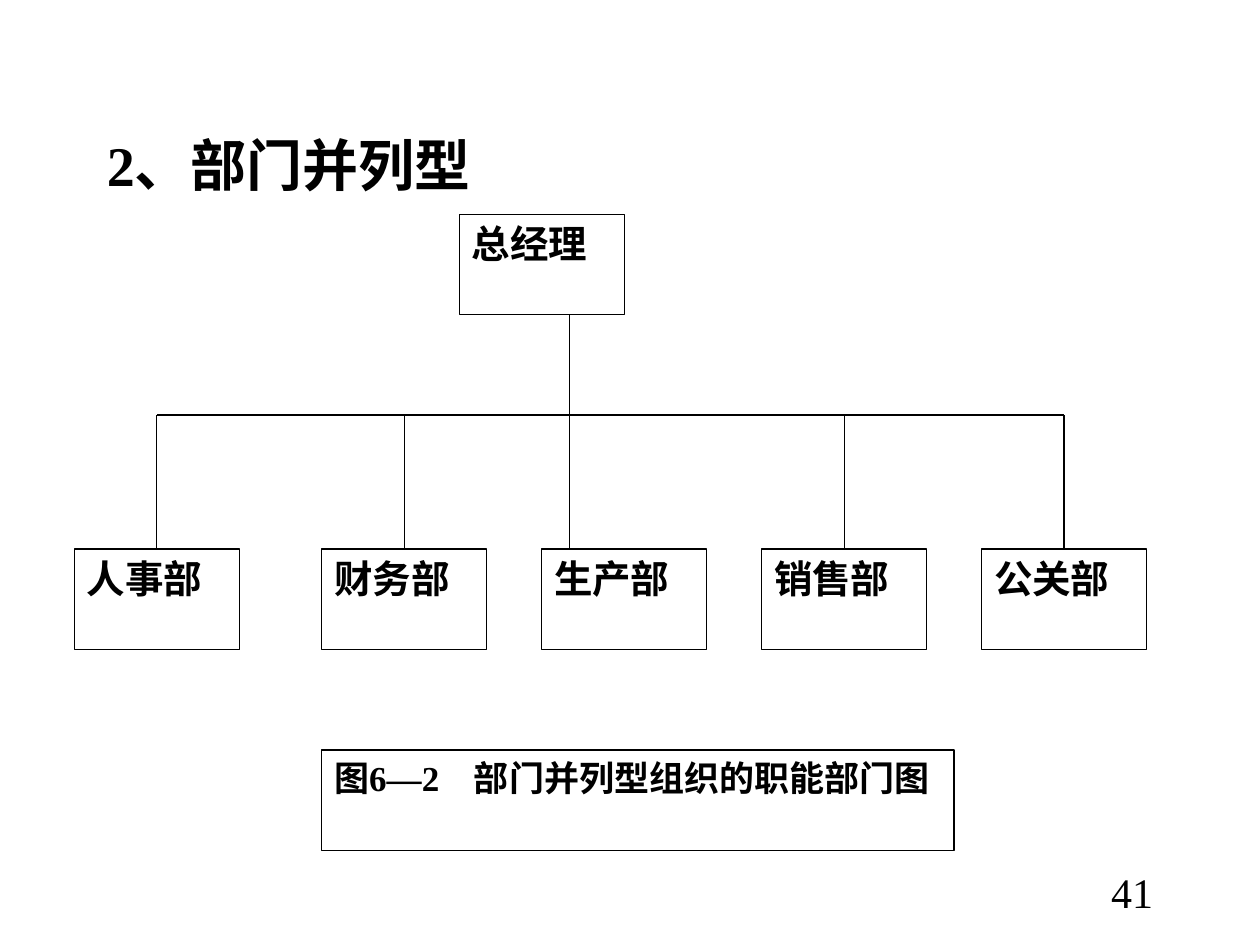
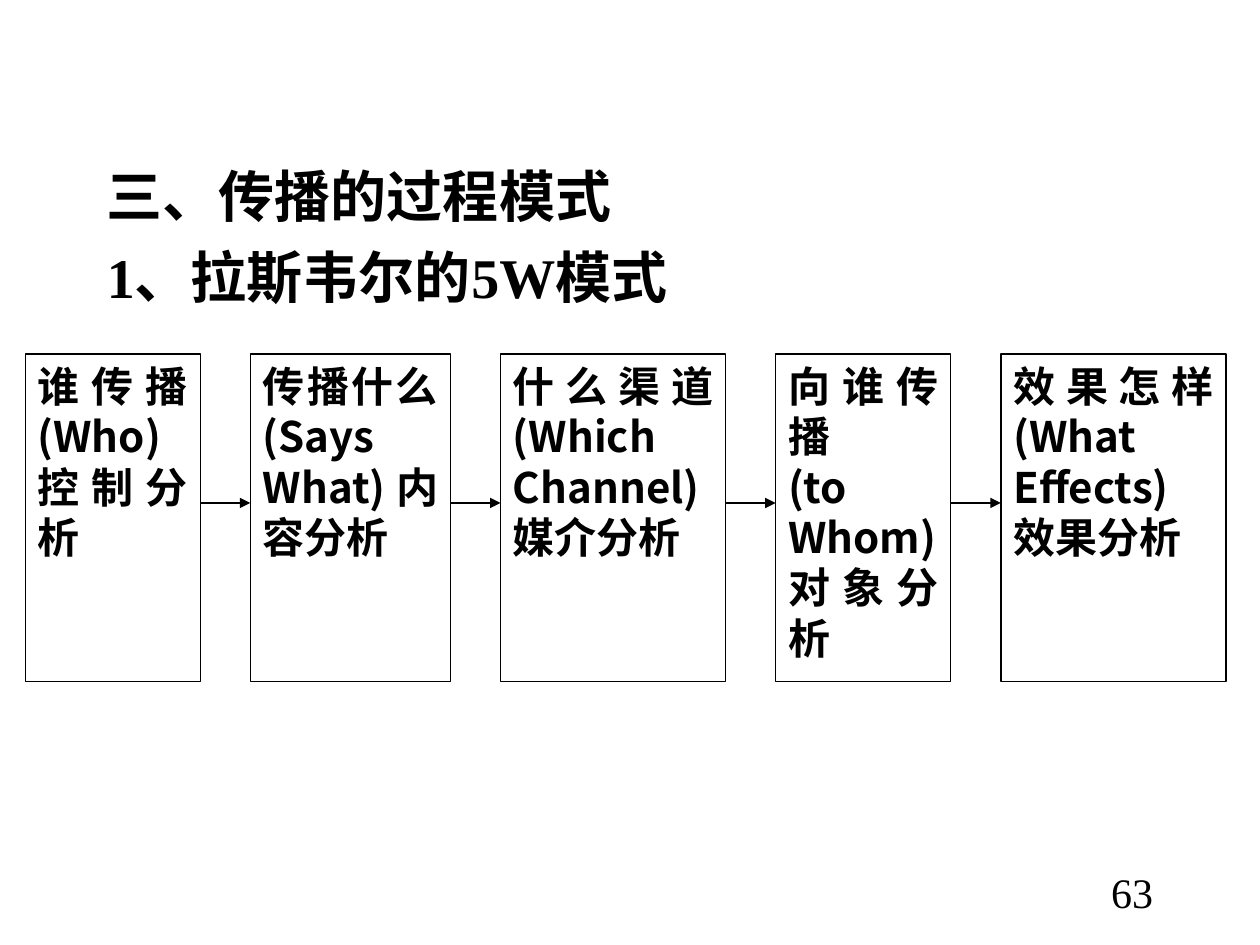
from itertools import accumulate, pairwise

from lxml import etree
from pptx import Presentation
from pptx.dml.color import RGBColor
from pptx.enum.shapes import MSO_CONNECTOR, MSO_SHAPE
from pptx.enum.text import MSO_ANCHOR, PP_ALIGN
from pptx.oxml.ns import qn
from pptx.util import Inches, Pt

RECTANGLE = MSO_SHAPE.RECTANGLE
STRAIGHT = MSO_CONNECTOR.STRAIGHT
LEFT, RIGHT, JUSTIFY = PP_ALIGN.LEFT, PP_ALIGN.RIGHT, PP_ALIGN.JUSTIFY
TOP = MSO_ANCHOR.TOP

COLORS = {"ink": "000000", "paper": "FFFFFF"}
SERIF, SANS = "Times New Roman", "Noto Sans CJK SC"
SLIDE_WIDTH, SLIDE_HEIGHT = 10, 7.5
LINE_WIDTH = 0.75

# Organisation chart: 39 columns by 19 rows
CHART_LEFT, CHART_TOP = 0.59, 1.7
COLUMN, ROW = 8.51 / 39, 5.05 / 19
BOX_COLUMNS, BOX_ROWS = 6, 3
BUS_ROW, DEPARTMENT_ROW, CAPTION_ROW = 6, 10, 16
STEM_COLUMN = 18
# Each department: name, column of its box, column of its line
DEPARTMENTS = [
    ("人事部", 0, 3),
    ("财务部", 9, 12),
    ("生产部", 17, STEM_COLUMN),
    ("销售部", 25, 28),
    ("公关部", 33, 36),
]

# Process: boxes of 7 to 9 units with gaps of 2, 48 units in all
PROCESS_LEFT, PROCESS_TOP, PROCESS_HEIGHT = 0.2, 2.81, 2.6
UNIT, GAP_UNITS = 9.53 / 48, 2
ARROW_Y = PROCESS_TOP + PROCESS_HEIGHT * 5 / 11
STAGES = [
    (7, ["谁传播 (Who)", "控制分析"]),
    (8, ["传播什么(Says What) 内容分析"]),
    (9, ["什么渠道 (Which Channel) 媒介分析"]),
    (7, ["向谁传播", "(to Whom)", "对象分析"]),
    (9, ["效果怎样(What Effects) 效果分析"]),
]


def color(name):
    return RGBColor.from_string(COLORS[name])


def chart_x(column):
    return CHART_LEFT + column * COLUMN


def chart_y(row):
    return CHART_TOP + row * ROW


def add_tab_stop(para, position):
    stops = etree.SubElement(para._p.get_or_add_pPr(), qn("a:tabLst"))
    etree.SubElement(stops, qn("a:tab"), pos=str(Inches(position)), algn="l")


def write(shape, lines, size, font=SERIF, bold=True, align=LEFT, space=0, tab=None):
    """Fill a shape with one paragraph per line; space parts the paragraphs."""
    frame = shape.text_frame
    frame.word_wrap = True
    frame.vertical_anchor = TOP
    for index, line in enumerate(lines):
        para = frame.add_paragraph() if index else frame.paragraphs[0]
        para.alignment = align
        if index:
            para.space_before = Pt(space)
        if tab:
            add_tab_stop(para, tab)
        span = para.add_run()
        span.text = line
        span.font.size = Pt(size)
        span.font.bold = bold
        span.font.name = font
        span.font.color.rgb = color("ink")
        east_asian = etree.Element(qn("a:ea"), typeface=SANS)
        span.font._element.find(qn("a:latin")).addnext(east_asian)


def add_text(slide, left, top, width, height, lines, size, **style):
    box = slide.shapes.add_textbox(*map(Inches, (left, top, width, height)))
    write(box, lines, size, **style)


def add_box(slide, left, top, width, height, lines, size, **style):
    box = slide.shapes.add_shape(RECTANGLE, *map(Inches, (left, top, width, height)))
    box.shadow.inherit = False
    box.fill.solid()
    box.fill.fore_color.rgb = color("paper")
    box.line.color.rgb = color("ink")
    box.line.width = Pt(LINE_WIDTH)
    write(box, lines, size, align=JUSTIFY, **style)


def add_line(slide, x1, y1, x2, y2, arrow=False):
    line = slide.shapes.add_connector(STRAIGHT, *map(Inches, (x1, y1, x2, y2)))
    line.line.color.rgb = color("ink")
    line.line.width = Pt(LINE_WIDTH)
    if arrow:
        etree.SubElement(line.line._get_or_add_ln(), qn("a:tailEnd"), type="triangle")
    etree.SubElement(line._element.spPr, qn("a:effectLst"))


def add_chart_box(slide, column, row, text, size=22, columns=BOX_COLUMNS, **style):
    add_box(slide, chart_x(column), chart_y(row), columns * COLUMN,
            BOX_ROWS * ROW, [text], size, **style)


def add_chart_line(slide, column1, row1, column2, row2):
    add_line(slide, chart_x(column1), chart_y(row1), chart_x(column2), chart_y(row2))


def add_page(deck, heading_top, heading, number):
    """Start a slide with its heading lines and page number."""
    slide = deck.slides.add_slide(deck.slide_layouts[6])
    add_text(slide, 0.75, heading_top, 8.5, 0.64 * len(heading), heading, 32, space=8)
    add_text(slide, 7.17, 6.83, 2.08, 0.5, [number], 24, bold=False, align=RIGHT)
    return slide


def add_organisation_chart(slide):
    add_chart_box(slide, 14, 0, "总经理")
    add_chart_line(slide, STEM_COLUMN, BOX_ROWS, STEM_COLUMN, BUS_ROW)
    add_chart_line(slide, DEPARTMENTS[0][2], BUS_ROW, DEPARTMENTS[-1][2], BUS_ROW)
    for name, box_column, line_column in DEPARTMENTS:
        add_chart_box(slide, box_column, DEPARTMENT_ROW, name)
        add_chart_line(slide, line_column, BUS_ROW, line_column, DEPARTMENT_ROW)
    add_chart_box(slide, 9, CAPTION_ROW, "图6—2\t部门并列型组织的职能部门图",
                  size=20, columns=23, tab=1.11)


def add_process(slide):
    steps = [units + GAP_UNITS for units, _ in STAGES]
    starts = [PROCESS_LEFT + UNIT * total for total in accumulate(steps[:-1], initial=0)]
    for left, (units, lines) in zip(starts, STAGES):
        add_box(slide, left, PROCESS_TOP, units * UNIT, PROCESS_HEIGHT,
                lines, 24, font=SANS)
    for _, following in pairwise(starts):
        add_line(slide, following - GAP_UNITS * UNIT, ARROW_Y, following, ARROW_Y, arrow=True)


def main():
    deck = Presentation()
    deck.slide_width, deck.slide_height = Inches(SLIDE_WIDTH), Inches(SLIDE_HEIGHT)
    add_organisation_chart(add_page(deck, 0.99, ["2、部门并列型"], "41"))
    add_process(add_page(deck, 1.23, ["三、传播的过程模式", "1、拉斯韦尔的5W模式"], "63"))
    deck.save("out.pptx")


if __name__ == "__main__":
    main()
